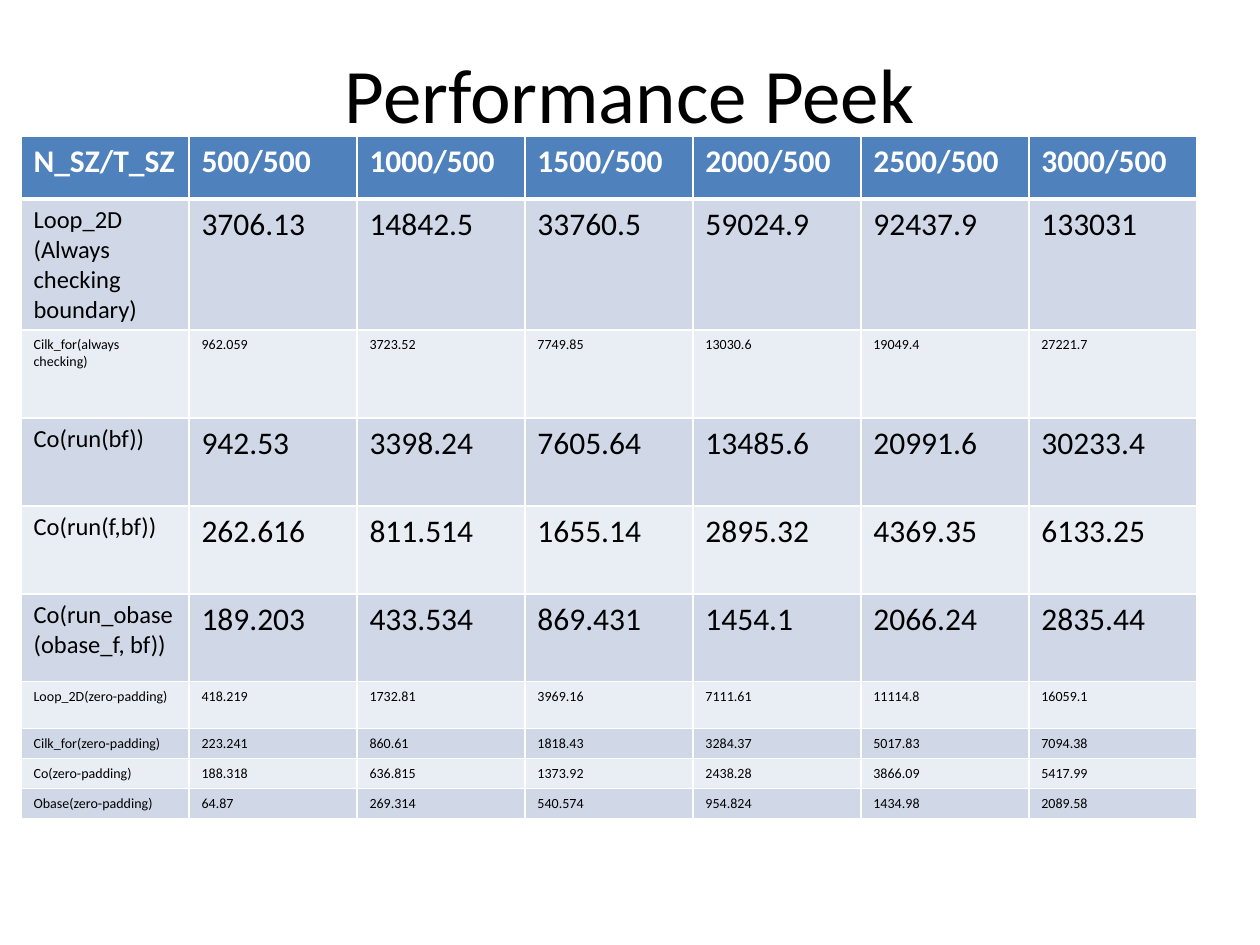
from dataclasses import dataclass

from lxml.etree import SubElement
from pptx import Presentation
from pptx.dml.color import RGBColor
from pptx.enum.text import MSO_ANCHOR, PP_ALIGN
from pptx.oxml.ns import qn
from pptx.util import Emu, Pt


@dataclass(frozen=True)
class Theme:
    """Colours, type sizes and line widths of the slide."""
    font: str = "Calibri"
    ink: str = "000000"
    white: str = "FFFFFF"
    head: str = "4F81BD"
    odd: str = "D0D8E8"
    even: str = "E9EDF4"
    title: int = 44
    large: int = 18
    label: int = 14
    small: int = 8
    thin: int = 1
    thick: int = 3


THEME = Theme()
SCALE = 914400 // 126
HEADS = ["N_SZ/T_SZ"] + [f"{size}/500" for size in range(500, 3001, 500)]
ROWS = [
    (131, True, "Loop_2D\n(Always checking boundary)",
     "3706.13 14842.5 33760.5 59024.9 92437.9 133031"),
    (88, False, "Cilk_for(always checking)",
     "962.059 3723.52 7749.85 13030.6 19049.4 27221.7"),
    (88, True, "Co(run(bf))",
     "942.53 3398.24 7605.64 13485.6 20991.6 30233.4"),
    (88, True, "Co(run(f,bf))",
     "262.616 811.514 1655.14 2895.32 4369.35 6133.25"),
    (88, True, "Co(run_obase(obase_f, bf))",
     "189.203 433.534 869.431 1454.1 2066.24 2835.44"),
    (47, False, "Loop_2D(zero-padding)",
     "418.219 1732.81 3969.16 7111.61 11114.8 16059.1"),
    (30, False, "Cilk_for(zero-padding)",
     "223.241 860.61 1818.43 3284.37 5017.83 7094.38"),
    (30, False, "Co(zero-padding)",
     "188.318 636.815 1373.92 2438.28 3866.09 5417.99"),
    (30, False, "Obase(zero-padding)",
     "64.87 269.314 540.574 954.824 1434.98 2089.58"),
]


def px(count):
    """Turn pixels into EMU."""
    return Emu(count * SCALE)


def write(frame, text, size, color=THEME.ink, bold=False, align=PP_ALIGN.LEFT):
    """Fill a text frame, one paragraph for each line of text."""
    frame.word_wrap = True
    for num, line in enumerate(text.split("\n")):
        para = frame.add_paragraph() if num else frame.paragraphs[0]
        para.alignment = align
        run = para.add_run()
        run.text = line
        font = run.font
        font.name, font.size, font.bold = THEME.font, Pt(size), bold
        font.color.rgb = RGBColor.from_string(color)


def edge(cell, top, bottom):
    """Draw the four white borders of a cell."""
    props = cell._tc.get_or_add_tcPr()
    widths = {"L": THEME.thin, "R": THEME.thin, "T": top, "B": bottom}
    for side, width in widths.items():
        line = SubElement(props, qn(f"a:ln{side}"), w=str(Pt(width)))
        fill = SubElement(line, qn("a:solidFill"))
        SubElement(fill, qn("a:srgbClr"), val=THEME.white)


def paint(cell, color):
    """Give a cell a solid fill."""
    cell.fill.solid()
    cell.fill.fore_color.rgb = RGBColor.from_string(color)


def title(slide, box, text):
    """Place the centred heading in its box."""
    frame = slide.shapes.add_textbox(*map(px, box)).text_frame
    frame.vertical_anchor = MSO_ANCHOR.MIDDLE
    write(frame, text, THEME.title, align=PP_ALIGN.CENTER)


def grid(slide, box, head):
    """Place the timing table in its box, below a header of the given height."""
    shape = slide.shapes.add_table(len(ROWS) + 1, len(HEADS), *map(px, box))
    table = shape.table
    for col in table.columns:
        col.width = px(box[2] // len(HEADS))
    table.rows[0].height = px(head)
    for cell, text in zip(table.rows[0].cells, HEADS):
        edge(cell, THEME.thin, THEME.thick)
        paint(cell, THEME.head)
        write(cell.text_frame, text, THEME.large, THEME.white, bold=True)
    for num, (high, big, name, data) in enumerate(ROWS, 1):
        row = table.rows[num]
        row.height = px(high)
        for col, text in enumerate([name] + data.split()):
            cell = row.cells[col]
            edge(cell, THEME.thick if num == 1 else THEME.thin, THEME.thin)
            paint(cell, THEME.odd if num % 2 else THEME.even)
            size = THEME.label if col == 0 else THEME.large
            write(cell.text_frame, text, size if big else THEME.small)


def main():
    """Build and save the slide."""
    deck = Presentation()
    deck.slide_width, deck.slide_height = px(1260), px(945)
    slide = deck.slides.add_slide(deck.slide_layouts[6])
    title(slide, (63, 38, 1134, 110), "Performance Peek")
    head = 63
    high = head + sum(row[0] for row in ROWS)
    grid(slide, (21, 136, 1176, high), head)
    deck.save("out.pptx")


main()
